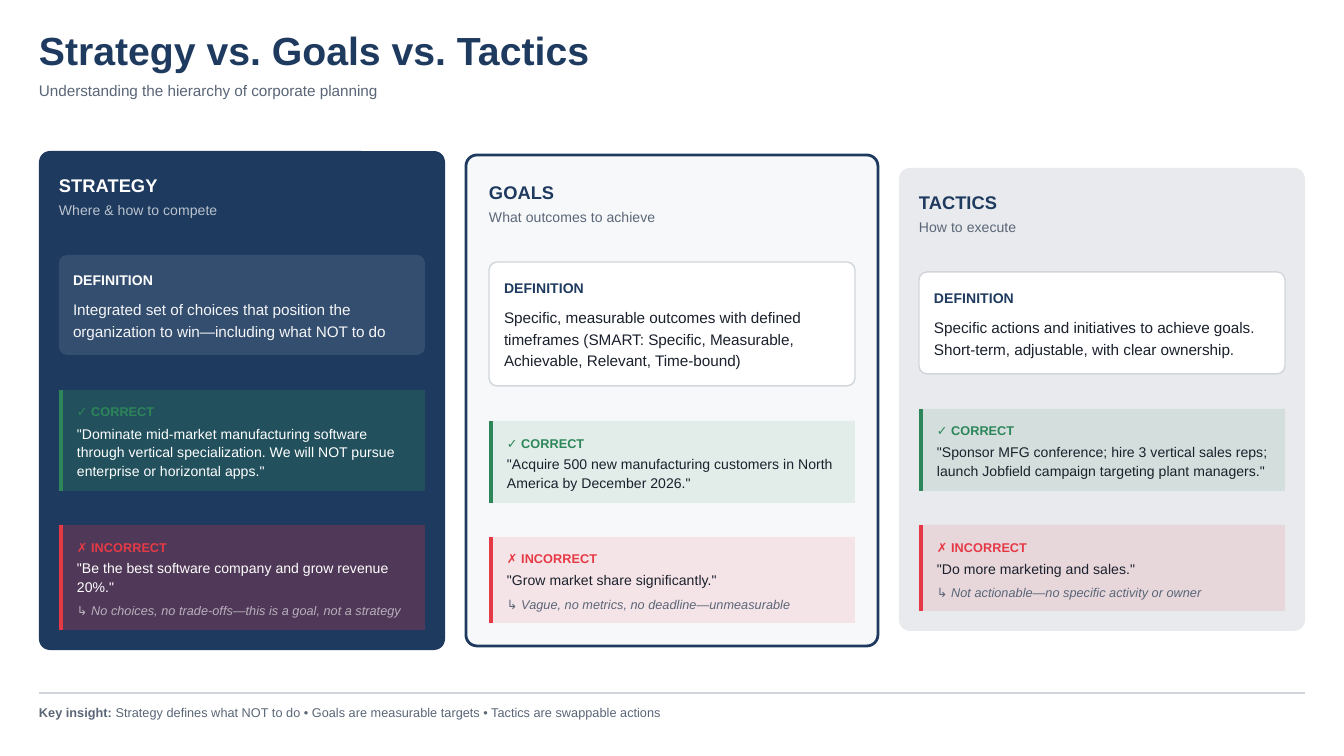
from dataclasses import dataclass

from lxml import etree
from pptx import Presentation
from pptx.dml.color import RGBColor
from pptx.enum.shapes import MSO_CONNECTOR, MSO_SHAPE
from pptx.enum.text import MSO_ANCHOR, MSO_AUTO_SIZE, PP_ALIGN
from pptx.oxml.ns import qn
from pptx.util import Emu, Pt

RECT = MSO_SHAPE.RECTANGLE
ROUND = MSO_SHAPE.ROUNDED_RECTANGLE
STRAIGHT = MSO_CONNECTOR.STRAIGHT
TOP = MSO_ANCHOR.TOP
NO_FIT = MSO_AUTO_SIZE.NONE
LEFT = PP_ALIGN.LEFT

NAVY = RGBColor(0x1E, 0x3A, 0x5F)
SLATE = RGBColor(0x5A, 0x66, 0x77)
INK = RGBColor(0x1A, 0x20, 0x2C)
WHITE = RGBColor(0xFF, 0xFF, 0xFF)
PALE = RGBColor(0xF7, 0xF8, 0xFA)
GREY = RGBColor(0xE8, 0xEA, 0xED)
RULE = RGBColor(0xD1, 0xD5, 0xDB)
GREEN = RGBColor(0x2D, 0x86, 0x59)
RED = RGBColor(0xE6, 0x39, 0x46)

FONT = "Arial"
PX_PER_INCH = 134.4
MARGIN = 39
FIRST_COLUMN = 59
COLUMN_PITCH = 430
COLUMN_WIDTH = 366
BLOCK_GAP = 35
DEFINITION_LINE = 22
EXAMPLE_LINE = 19


@dataclass
class Theme:
    card: RGBColor
    heading: RGBColor
    muted: RGBColor
    body: RGBColor
    card_border: RGBColor = None
    box_border: RGBColor = RULE
    box_alpha: int = 100
    muted_alpha: int = 100
    body_alpha: int = 100
    note_alpha: int = 100
    green_alpha: int = 10
    red_alpha: int = 10


@dataclass
class Column:
    top: int
    pad: int
    inset: int
    theme: Theme
    heading: str
    subtitle: str
    definition: str
    definition_lines: int
    correct: str
    correct_lines: int
    incorrect: str
    incorrect_lines: int
    note: str


DARK = Theme(NAVY, WHITE, WHITE, WHITE, box_border=None, box_alpha=10, muted_alpha=70,
             body_alpha=95, note_alpha=60, green_alpha=30, red_alpha=25)
OUTLINED = Theme(PALE, NAVY, SLATE, INK, card_border=NAVY)
LIGHT = Theme(GREY, NAVY, SLATE, INK)

COLUMNS = [
    Column(151, 20, 14, DARK, "STRATEGY", "Where & how to compete",
           "Integrated set of choices that position the organization to win—including what NOT to do", 2,
           '"Dominate mid-market manufacturing software through vertical specialization. '
           'We will NOT pursue enterprise or horizontal apps."', 3,
           '"Be the best software company and grow revenue 20%."', 2,
           "↳ No choices, no trade-offs—this is a goal, not a strategy"),
    Column(155, 23, 15, OUTLINED, "GOALS", "What outcomes to achieve",
           "Specific, measurable outcomes with defined timeframes "
           "(SMART: Specific, Measurable, Achievable, Relevant, Time-bound)", 3,
           '"Acquire 500 new manufacturing customers in North America by December 2026."', 2,
           '"Grow market share significantly."', 1,
           "↳ Vague, no metrics, no deadline—unmeasurable"),
    Column(168, 20, 15, LIGHT, "TACTICS", "How to execute",
           "Specific actions and initiatives to achieve goals. "
           "Short-term, adjustable, with clear ownership.", 2,
           '"Sponsor MFG conference; hire 3 vertical sales reps; '
           'launch Jobfield campaign targeting plant managers."', 2,
           '"Do more marketing and sales."', 1,
           "↳ Not actionable—no specific activity or owner"),
]


def px(length):
    return Emu(round(length * 914400 / PX_PER_INCH))


def set_alpha(element, percent):
    if percent < 100:
        color = next(element.iter(qn("a:srgbClr")))
        etree.SubElement(color, qn("a:alpha")).set("val", str(percent * 1000))


def add_span(para, text, size, color, bold=False, italic=False, alpha=100):
    span = para.add_run()
    span.text = text
    span.font.name = FONT
    span.font.size = Pt(size)
    span.font.bold = bold
    span.font.italic = italic
    span.font.color.rgb = color
    set_alpha(span._r, alpha)


def prepare_text(box, spacing):
    frame = box.text_frame
    frame.margin_left = frame.margin_top = frame.margin_right = frame.margin_bottom = 0
    frame.word_wrap = True
    frame.auto_size = NO_FIT
    frame.vertical_anchor = TOP
    para = frame.paragraphs[0]
    para.alignment = LEFT
    para.line_spacing = Pt(spacing)
    para.space_before = Pt(0)
    return para


def add_text(page, left, top, width, height, spacing, text, size, color, **style):
    box = page.shapes.add_textbox(px(left), px(top), px(width), px(height))
    para = prepare_text(box, spacing)
    add_span(para, text, size, color, **style)
    return para


def add_panel(page, left, top, width, height, fill, alpha=100, radius=0, border=None, weight=0.75):
    panel = page.shapes.add_shape(ROUND if radius else RECT, px(left), px(top), px(width), px(height))
    panel.shadow.inherit = False
    if radius:
        panel.adjustments[0] = radius / min(width, height)
    panel.fill.solid()
    panel.fill.fore_color.rgb = fill
    set_alpha(panel._element.spPr, alpha)
    if border is None:
        panel.line.fill.background()
    else:
        panel.line.color.rgb = border
        panel.line.width = Pt(weight)


def add_line(page, left, top, right, bottom, color, weight):
    line = page.shapes.add_connector(STRAIGHT, px(left), px(top), px(right), px(bottom))
    line.line.color.rgb = color
    line.line.width = Pt(weight)
    etree.SubElement(line._element.spPr, qn("a:effectLst"))


def add_definition(page, left, top, height, column):
    theme, inset = column.theme, column.inset
    add_panel(page, left, top, COLUMN_WIDTH, height, WHITE, theme.box_alpha, 8, theme.box_border)
    add_text(page, left + inset, top + inset, 342, 20, 10.5, "DEFINITION", 7.5, theme.heading, bold=True)
    add_text(page, left + inset, top + inset + 28, 342, column.definition_lines * DEFINITION_LINE,
             11.6, column.definition, 8.2, theme.body, alpha=theme.body_alpha)


def add_example(page, left, top, height, label, color, alpha, quote, lines, theme):
    add_panel(page, left, top, COLUMN_WIDTH, height, color, alpha)
    add_line(page, left + 2, top, left + 2, top + height, color, 2.25)
    add_text(page, left + 18, top + 12, 340, 17, 9.4, label, 6.8, color, bold=True)
    add_text(page, left + 18, top + 33, 340, lines * EXAMPLE_LINE, 10.1, quote, 7.5, theme.body)


def add_column(page, left, column):
    theme, pad = column.theme, column.pad
    heading_top = column.top + pad
    definition_top = heading_top + 84
    definition_height = 2 * column.inset + 28 + column.definition_lines * DEFINITION_LINE
    correct_top = definition_top + definition_height + BLOCK_GAP
    correct_height = 44 + column.correct_lines * EXAMPLE_LINE
    incorrect_top = correct_top + correct_height + BLOCK_GAP - 1
    incorrect_height = 67 + column.incorrect_lines * EXAMPLE_LINE
    note_top = incorrect_top + 38 + column.incorrect_lines * EXAMPLE_LINE
    card_height = incorrect_top + incorrect_height + pad - column.top

    add_panel(page, left - pad, column.top, COLUMN_WIDTH + 2 * pad, card_height,
              theme.card, radius=11, border=theme.card_border, weight=1.5)
    add_text(page, left, heading_top, 374, 26, 13.7, column.heading, 9.8, theme.heading, bold=True)
    add_text(page, left, heading_top + 28, 374, 20, 10.5, column.subtitle, 7.5,
             theme.muted, alpha=theme.muted_alpha)
    add_definition(page, left, definition_top, definition_height, column)
    add_example(page, left, correct_top, correct_height, "✓ CORRECT", GREEN, theme.green_alpha,
                column.correct, column.correct_lines, theme)
    add_example(page, left, incorrect_top, incorrect_height, "✗ INCORRECT", RED, theme.red_alpha,
                column.incorrect, column.incorrect_lines, theme)
    add_text(page, left + 18, note_top, 340, 17, 9.4, column.note, 6.8,
             theme.muted, italic=True, alpha=theme.note_alpha)


def add_header(page):
    title = page.shapes.title
    title.left, title.top, title.width, title.height = px(MARGIN), px(34), px(646), px(39)
    add_span(prepare_text(title, 21), "Strategy vs. Goals vs. Tactics", 21, NAVY, bold=True)
    add_text(page, MARGIN, 78, 1292, 22, 11.6,
             "Understanding the hierarchy of corporate planning", 8.2, SLATE)


def add_footer(page):
    add_line(page, MARGIN, 693, 1305, 693, RULE, 0.75)
    para = add_text(page, MARGIN, 702, 1292, 17, 9.4, "Key insight:", 6.8, SLATE, bold=True)
    add_span(para, " Strategy defines what NOT to do • Goals are measurable targets"
                   " • Tactics are swappable actions", 6.8, SLATE)


def main():
    deck = Presentation()
    deck.slide_width, deck.slide_height = px(1344), px(756)
    page = deck.slides.add_slide(deck.slide_layouts[5])
    add_header(page)
    for index, column in enumerate(COLUMNS):
        add_column(page, FIRST_COLUMN + index * COLUMN_PITCH, column)
    add_footer(page)
    deck.save("out.pptx")


if __name__ == "__main__":
    main()
